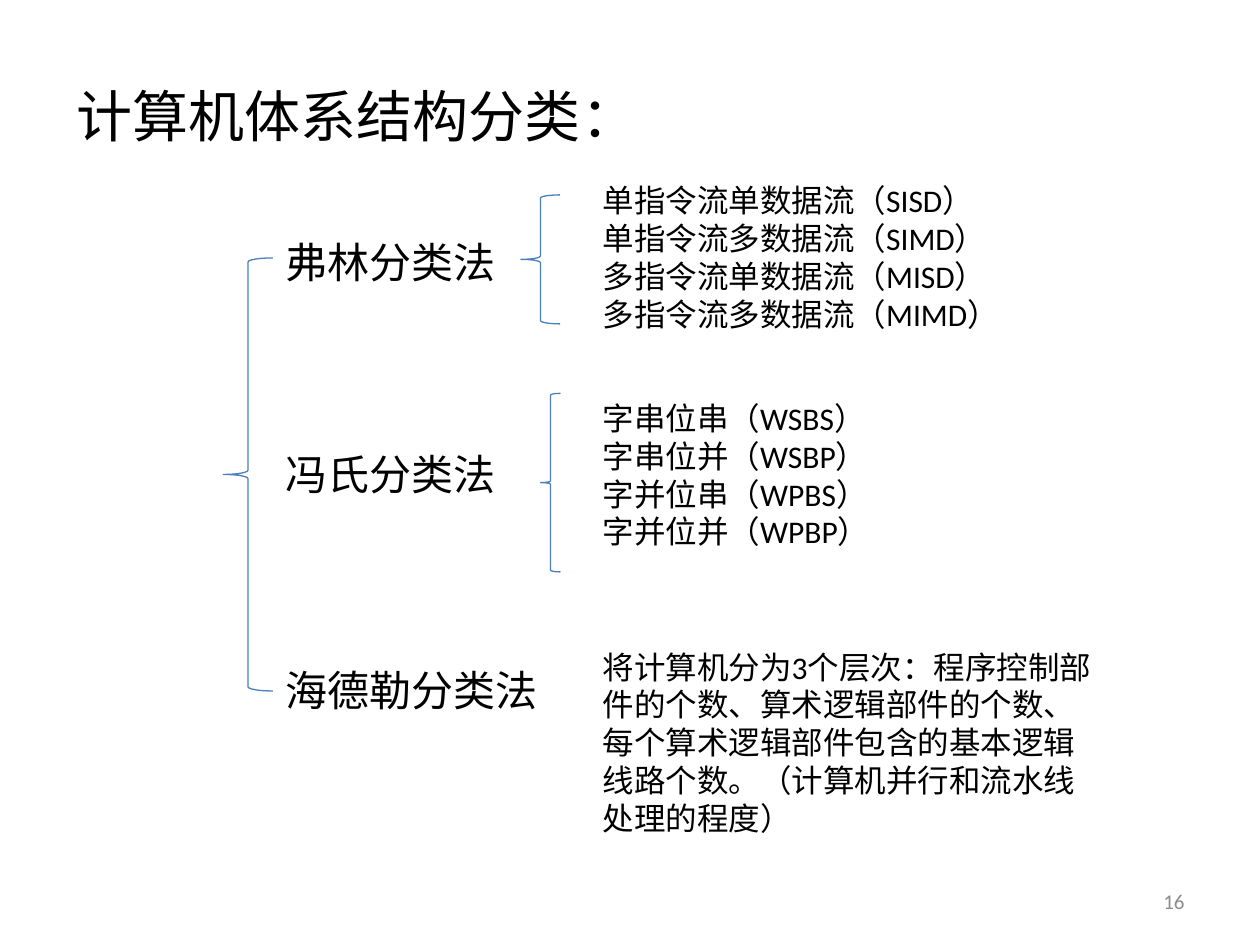
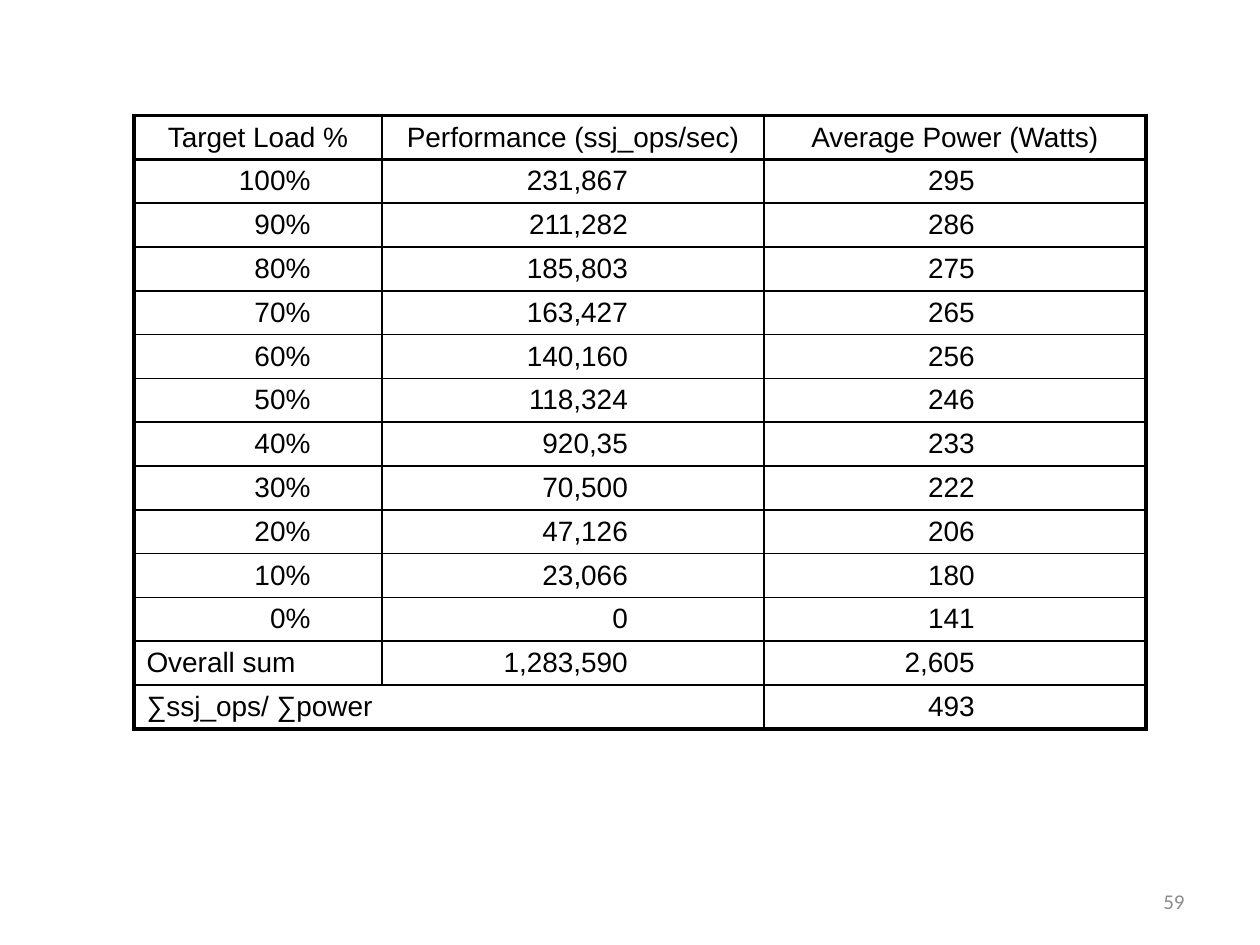
from dataclasses import dataclass

import lxml.etree
import pptx
import pptx.dml.color
import pptx.enum.shapes
import pptx.enum.text
import pptx.oxml.ns
import pptx.presentation
import pptx.shapes.base
import pptx.slide
import pptx.table
import pptx.text.text
import pptx.util
from pptx.util import Cm, Pt

BLACK = "000000"
GREY = "8C8C8C"
BRACE_BLUE = "4B7EBC"
BODY_FONT = "Calibri"
TABLE_FONT = "Arial"
ALIGN = pptx.enum.text.PP_ALIGN
ANCHOR = pptx.enum.text.MSO_ANCHOR

OUTER, SECTION, INNER = 2.25, 1.5, 1.0  # rule widths in points


@dataclass(frozen=True)
class TextBlock:
    """Place in centimetres, and one paragraph per line of text."""
    left: float
    top: float
    width: float
    height: float
    lines: tuple[str, ...]
    size: int


@dataclass(frozen=True)
class Brace:
    left: float
    top: float
    width: float
    height: float


TITLE = TextBlock(1.3, 1.52, 22.86, 2.0, ("计算机体系结构分类：",), 32)

METHODS = [
    TextBlock(5.5, top, width, 1.27, (name,), 24)
    for name, top, width in (
        ("弗林分类法", 4.65, 5.0),
        ("冯氏分类法", 8.92, 5.0),
        ("海德勒分类法", 13.28, 6.8),
    )
]

DETAILS = [
    TextBlock(11.9, 3.53, 10.6, 3.33, (
        "单指令流单数据流（SISD）",
        "单指令流多数据流（SIMD）",
        "多指令流单数据流（MISD）",
        "多指令流多数据流（MIMD）",
    ), 18),
    TextBlock(11.9, 7.92, 9.8, 3.33, (
        "字串位串（WSBS）",
        "字串位并（WSBP）",
        "字并位串（WPBS）",
        "字并位并（WPBP）",
    ), 18),
    TextBlock(11.9, 12.93, 10.6, 4.11, (
        "将计算机分为3个层次：程序控制部件的个数、算术逻辑部件的个数、"
        "每个算术逻辑部件包含的基本逻辑线路个数。（计算机并行和流水线处理的程度）",
    ), 18),
]

BRACES = [
    Brace(4.5, 5.2, 1.0, 8.73),
    Brace(10.5, 3.93, 0.79, 2.6),
    Brace(10.9, 7.93, 0.4, 3.6),
]

# Each heading spans a value column and the narrow padding column to its right.
COLUMN_WIDTHS = (3.81, 1.19, 5.21, 2.49, 4.5, 3.2)
ROW_HEIGHT = 0.883
POWER_ROWS = [
    ("Target Load %", "Performance (ssj_ops/sec)", "Average Power (Watts)"),
    ("100%", "231,867", "295"),
    ("90%", "211,282", "286"),
    ("80%", "185,803", "275"),
    ("70%", "163,427", "265"),
    ("60%", "140,160", "256"),
    ("50%", "118,324", "246"),
    ("40%", "920,35", "233"),
    ("30%", "70,500", "222"),
    ("20%", "47,126", "206"),
    ("10%", "23,066", "180"),
    ("0%", "0", "141"),
    ("Overall sum", "1,283,590", "2,605"),
    ("∑ssj_ops/ ∑power", "", "493"),
]
RATIO_ROW = len(POWER_ROWS) - 1
SUM_ROW = RATIO_ROW - 1


def rgb(color: str) -> pptx.dml.color.RGBColor:
    return pptx.dml.color.RGBColor.from_string(color)


def style_paragraph(para, size: int, font: str = BODY_FONT,
                    color: str = BLACK, align=ALIGN.LEFT) -> None:
    para.alignment = align
    para.font.name = font
    para.font.size = Pt(size)
    para.font.color.rgb = rgb(color)


def add_text(page: pptx.slide.Slide, block: TextBlock, color: str = BLACK,
             align=ALIGN.LEFT, anchor=ANCHOR.TOP) -> None:
    box = page.shapes.add_textbox(
        Cm(block.left), Cm(block.top), Cm(block.width), Cm(block.height))
    frame = box.text_frame
    frame.word_wrap = True
    frame.vertical_anchor = anchor
    frame.text = "\n".join(block.lines)
    for para in frame.paragraphs:
        style_paragraph(para, block.size, color=color, align=align)


def add_page_number(page: pptx.slide.Slide, number: int) -> None:
    block = TextBlock(18.2, 17.65, 5.93, 1.02, (str(number),), 12)
    add_text(page, block, GREY, ALIGN.RIGHT, ANCHOR.MIDDLE)


def add_brace(page: pptx.slide.Slide, brace: Brace) -> None:
    shape = page.shapes.add_shape(
        pptx.enum.shapes.MSO_SHAPE.LEFT_BRACE,
        Cm(brace.left), Cm(brace.top), Cm(brace.width), Cm(brace.height))
    shape.shadow.inherit = False
    shape.fill.background()
    shape.line.color.rgb = rgb(BRACE_BLUE)
    shape.line.width = Pt(0.75)


def horizontal_rule(boundary: int) -> float:
    """Width of the rule above the row with this index."""
    if boundary in (0, len(POWER_ROWS)):
        return OUTER
    return SECTION if boundary in (1, SUM_ROW) else INNER


def vertical_rule(row: int, boundary: int) -> float:
    """Width of the rule left of a column; 0 inside a pair or a merged cell."""
    if boundary in (0, len(COLUMN_WIDTHS)):
        return OUTER
    inside = boundary % 2 == 1 or (row == RATIO_ROW and boundary == 2)
    return 0 if inside else INNER


def set_borders(cell, row: int, column: int) -> None:
    right = column + (cell.span_width if cell.is_merge_origin else 1)
    widths = {
        "a:lnL": vertical_rule(row, column),
        "a:lnR": vertical_rule(row, right),
        "a:lnT": horizontal_rule(row),
        "a:lnB": horizontal_rule(row + 1),
    }
    qn = pptx.oxml.ns.qn
    properties = cell._tc.get_or_add_tcPr()
    for tag, width in widths.items():
        line = lxml.etree.SubElement(properties, qn(tag), w=str(int(Pt(width))))
        if width:
            fill = lxml.etree.SubElement(line, qn("a:solidFill"))
            lxml.etree.SubElement(fill, qn("a:srgbClr"), val=BLACK)
        else:
            lxml.etree.SubElement(line, qn("a:noFill"))


def cell_alignment(row: int, column: int):
    if row == 0:
        return ALIGN.CENTER
    return ALIGN.LEFT if row >= SUM_ROW and column == 0 else ALIGN.RIGHT


def add_power_table(page: pptx.slide.Slide) -> None:
    frame = page.shapes.add_table(
        len(POWER_ROWS), len(COLUMN_WIDTHS), Cm(2.7), Cm(2.33),
        Cm(sum(COLUMN_WIDTHS)), Cm(ROW_HEIGHT * len(POWER_ROWS)))
    table = frame.table
    table.first_row = table.horz_banding = False
    for column, width in zip(table.columns, COLUMN_WIDTHS):
        column.width = Cm(width)

    for column in (0, 2, 4):
        table.cell(0, column).merge(table.cell(0, column + 1))
    table.cell(SUM_ROW, 0).merge(table.cell(SUM_ROW, 1))
    table.cell(RATIO_ROW, 0).merge(table.cell(RATIO_ROW, 3))

    for row, values in enumerate(POWER_ROWS):
        for column in range(len(COLUMN_WIDTHS)):
            cell = table.cell(row, column)
            cell.margin_top = cell.margin_bottom = 0
            cell.vertical_anchor = ANCHOR.MIDDLE
            if column % 2 == 0:
                cell.text = values[column // 2]
            style_paragraph(cell.text_frame.paragraphs[0], 16, TABLE_FONT,
                            align=cell_alignment(row, column))
            set_borders(cell, row, column)
            cell.fill.background()


def build_classification(page: pptx.slide.Slide) -> None:
    add_text(page, TITLE)
    for brace in BRACES:
        add_brace(page, brace)
    for block in METHODS + DETAILS:
        add_text(page, block)
    add_page_number(page, 16)


def build_power(page: pptx.slide.Slide) -> None:
    add_power_table(page)
    add_page_number(page, 59)


def main() -> None:
    deck = pptx.Presentation()
    deck.slide_width, deck.slide_height = Cm(25.4), Cm(19.05)
    blank = deck.slide_layouts[6]
    for build in (build_classification, build_power):
        build(deck.slides.add_slide(blank))
    deck.save("out.pptx")


if __name__ == "__main__":
    main()
